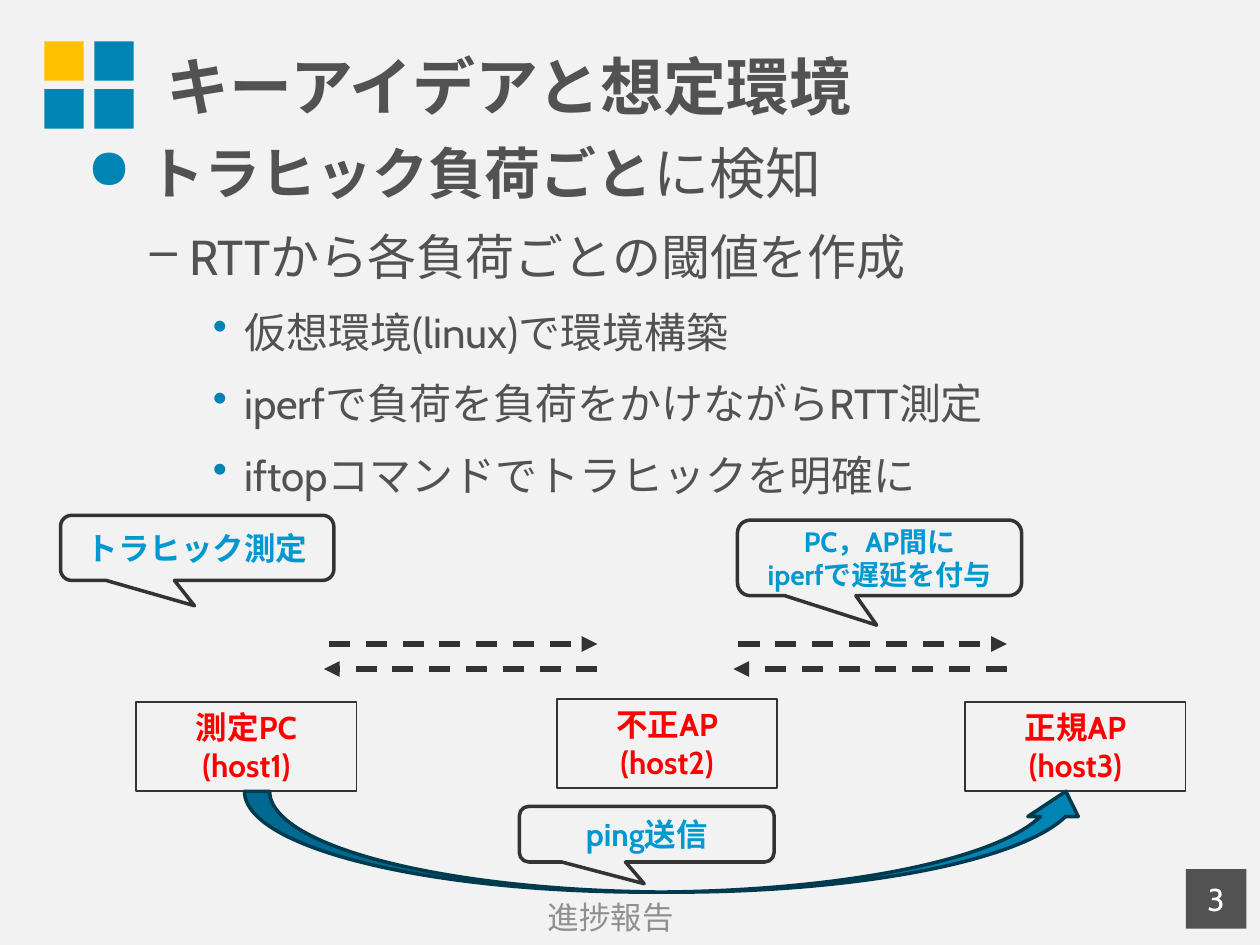
from dataclasses import dataclass

from lxml.etree import SubElement
from pptx import Presentation
from pptx.dml.color import RGBColor
from pptx.enum.dml import MSO_LINE
from pptx.enum.shapes import MSO_CONNECTOR, MSO_SHAPE
from pptx.enum.text import MSO_ANCHOR, MSO_AUTO_SIZE, PP_ALIGN
from pptx.oxml.ns import qn
from pptx.util import Pt


@dataclass(frozen=True)
class Theme:
    font: str = "Cabin"
    background: str = "F2F2F2"
    text: str = "525252"
    footer: str = "909090"
    white: str = "FFFFFF"
    blue: str = "0084B4"
    dark_blue: str = "003A4F"
    yellow: str = "FFC000"
    outline: str = "333333"
    dash: str = "323232"
    host: str = "FF0000"
    callout: str = "0098D1"
    title_size: int = 36
    body_sizes: tuple = (32, 28, 24)
    label_size: int = 18
    small_size: int = 16


THEME = Theme()
# Left margin, hanging indent, bullet and bullet colour of each level
BULLETS = (
    (35.3, 35.3, "●", THEME.blue),
    (58.5, 22.5, "–", None),
    (90, 18, "•", THEME.blue),
)
BODY = (
    (0, (("トラヒック負荷ごと", True), ("に検知", False))),
    (1, (("RTTから各負荷ごとの閾値を作成", False),)),
    (2, (("仮想環境(linux)で環境構築", False),)),
    (2, (("iperfで負荷を負荷をかけながらRTT測定", False),)),
    (2, (("iftopコマンドでトラヒックを明確に", False),)),
)


def rgb(value):
    return RGBColor.from_string(value)


def write(para, text, *, size=THEME.label_size, color=THEME.text, bold=False, align=None):
    """Add text to a paragraph; a newline becomes a line break."""
    if align is not None:
        para.alignment = align
    for number, line in enumerate(text.split("\n")):
        if number:
            para.add_line_break()
        span = para.add_run()
        span.text = line
        span.font.name = THEME.font
        span.font.size = Pt(size)
        span.font.bold = bold
        span.font.color.rgb = rgb(color)


def add_box(page, kind, left, top, width, height, *, fill=None, line=None, weight=1):
    box = page.shapes.add_shape(kind, Pt(left), Pt(top), Pt(width), Pt(height))
    box.shadow.inherit = False
    if fill:
        box.fill.solid()
        box.fill.fore_color.rgb = rgb(fill)
    else:
        box.fill.background()
    if line:
        box.line.color.rgb = rgb(line)
        box.line.width = Pt(weight)
    else:
        box.line.fill.background()
    box.text_frame.word_wrap = True
    return box


def add_logo_squares(page):
    for row in range(2):
        for column in range(2):
            fill = THEME.blue if row or column else THEME.yellow
            add_box(page, MSO_SHAPE.RECTANGLE, 25.4 + 28.5 * column, 23.6 + 27.4 * row,
                    22.5, 22.5, fill=fill)


def add_title(page, text):
    title = page.shapes.title
    title.left, title.top, title.width, title.height = Pt(88), Pt(3.6), Pt(632), Pt(90)
    frame = title.text_frame
    frame.auto_size = MSO_AUTO_SIZE.NONE
    frame.vertical_anchor = MSO_ANCHOR.MIDDLE
    write(frame.paragraphs[0], text, size=THEME.title_size, bold=True, align=PP_ALIGN.LEFT)


def set_bullet(para, level):
    margin, hanging, character, color = BULLETS[level]
    para.level = level
    properties = para._p.get_or_add_pPr()
    properties.set("marL", str(Pt(margin)))
    properties.set("indent", str(-Pt(hanging)))
    if color:
        bullet_color = SubElement(properties, qn("a:buClr"))
        SubElement(bullet_color, qn("a:srgbClr"), val=color)
    SubElement(properties, qn("a:buChar"), char=character)


def add_body(page):
    box = page.shapes.add_textbox(Pt(42.5), Pt(75.6), Pt(658.8), Pt(386))
    frame = box.text_frame
    frame.word_wrap = True
    for number, (level, spans) in enumerate(BODY):
        para = frame.add_paragraph() if number else frame.paragraphs[0]
        set_bullet(para, level)
        if number:
            para.space_before = Pt(12)
        for text, bold in spans:
            write(para, text, size=THEME.body_sizes[level], bold=bold)


def add_footer(page, text, number):
    footer = page.shapes.add_textbox(Pt(25.2), Pt(509.8), Pt(647.3), Pt(28.8))
    badge = add_box(page, MSO_SHAPE.RECTANGLE, 677.6, 496.7, 34.6, 34, fill=THEME.text)
    for box, label, color in ((footer, text, THEME.footer), (badge, number, THEME.white)):
        frame = box.text_frame
        frame.word_wrap = True
        frame.vertical_anchor = MSO_ANCHOR.MIDDLE
        write(frame.paragraphs[0], label, color=color, align=PP_ALIGN.CENTER)


def add_dashed_arrow(page, start, end, height):
    arrow = page.shapes.add_connector(
        MSO_CONNECTOR.STRAIGHT, Pt(start), Pt(height), Pt(end), Pt(height))
    arrow.line.color.rgb = rgb(THEME.dash)
    arrow.line.width = Pt(3)
    arrow.line.dash_style = MSO_LINE.DASH
    SubElement(arrow.line._get_or_add_ln(), qn("a:tailEnd"), type="triangle")
    SubElement(arrow._element.spPr, qn("a:effectLst"))


def add_round_trip(page, left):
    """Draw a request arrow above its reply arrow."""
    right = left + 153.4
    add_dashed_arrow(page, left, right, 368)
    add_dashed_arrow(page, right, left - 2.9, 382.3)


def add_host(page, left, top, name, host):
    box = add_box(page, MSO_SHAPE.RECTANGLE, left, top, 126, 51, line=THEME.outline)
    frame = box.text_frame
    frame.auto_size = MSO_AUTO_SIZE.SHAPE_TO_FIT_TEXT
    frame.vertical_anchor = MSO_ANCHOR.TOP
    for para, text in ((frame.paragraphs[0], name), (frame.add_paragraph(), host)):
        write(para, text, color=THEME.host, bold=True, align=PP_ALIGN.CENTER)


def add_callout(page, left, top, width, height, text, size=THEME.label_size):
    box = add_box(page, MSO_SHAPE.ROUNDED_RECTANGULAR_CALLOUT, left, top, width, height,
                  line=THEME.outline, weight=2)
    for index, value in enumerate((-0.01, 0.89, 0.17)):
        box.adjustments[index] = value
    box.text_frame.vertical_anchor = MSO_ANCHOR.MIDDLE
    write(box.text_frame.paragraphs[0], text, size=size, color=THEME.callout,
          bold=True, align=PP_ALIGN.CENTER)


def main():
    deck = Presentation()
    deck.slide_width, deck.slide_height = Pt(720), Pt(540)
    page = deck.slides.add_slide(deck.slide_layouts[5])
    page.background.fill.solid()
    page.background.fill.fore_color.rgb = rgb(THEME.background)

    add_logo_squares(page)
    add_title(page, "キーアイデアと想定環境")
    add_body(page)
    add_footer(page, "進捗報告", "3")

    for left in (188, 422):
        add_round_trip(page, left)
    add_host(page, 77.8, 401.2, "測定PC", "(host1)")
    add_host(page, 318.2, 399.4, "不正AP", "(host2)")
    add_host(page, 551.5, 401, "正規AP", "(host3)")

    add_callout(page, 34.6, 294.5, 156.2, 37.2, "トラヒック測定")
    add_callout(page, 421.4, 297.2, 162.4, 43.2, "PC，AP間に\niperfで遅延を付与",
                THEME.small_size)
    add_box(page, MSO_SHAPE.CURVED_UP_ARROW, 139.7, 452.2, 483.8, 57.6,
            fill=THEME.blue, line=THEME.dark_blue, weight=2)
    add_callout(page, 296.8, 460.8, 145.6, 31.8, "ping送信")
    deck.save("out.pptx")


if __name__ == "__main__":
    main()
